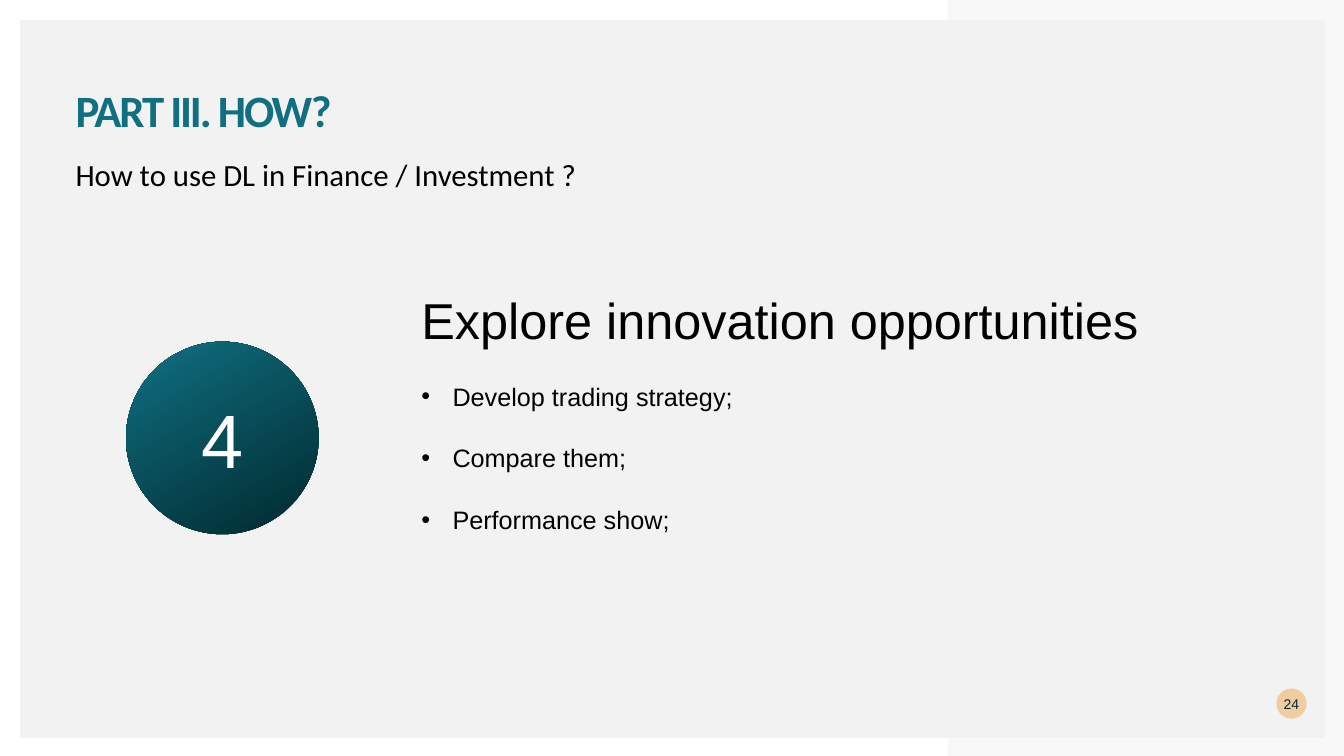
from lxml.etree import SubElement
from pptx import Presentation
from pptx.dml.color import RGBColor
from pptx.enum.shapes import MSO_SHAPE as SHAPE
from pptx.enum.text import MSO_ANCHOR as ANCHOR, PP_ALIGN as ALIGN
from pptx.oxml.ns import qn
from pptx.util import Inches, Pt

COLORS = {"white": "FFFFFF", "black": "000000", "grey": "F2F2F2",
          "sand": "F0CDA1", "teal": "107082", "dark": "00292E"}


def rgb(name):
    return RGBColor.from_string(COLORS[name])


class SlideBuilder:
    def __init__(self, slide, font="Arial"):
        self.slide = slide
        self.font = font

    def add_text(self, p, text, size, color="black", font=None, bold=False):
        r = p.add_run()
        r.text = text
        style = {"size": Pt(size), "name": font or self.font, "bold": bold}
        for key, value in style.items():
            setattr(r.font, key, value)
        r.font.color.rgb = rgb(color)
        return r

    def frame(self, sp, anchor=ANCHOR.TOP, inset=(0, 0, 0, 0)):
        tf = sp.text_frame
        sides = ("left", "top", "right", "bottom")
        style = {f"margin_{side}": Inches(v) for side, v in zip(sides, inset)}
        style.update(word_wrap=True, vertical_anchor=anchor)
        for key, value in style.items():
            setattr(tf, key, value)
        return tf

    def textbox(self, x, y, w, h, **kw):
        sp = self.slide.shapes.add_textbox(*map(Inches, (x, y, w, h)))
        return self.frame(sp, **kw)

    def shape(self, kind, x, y, w, h, fill=None):
        sp = self.slide.shapes.add_shape(kind, *map(Inches, (x, y, w, h)))
        return self.finish(sp, fill)

    def finish(self, sp, fill=None):
        sp.shadow.inherit = False
        sp.line.fill.background()
        if fill:
            sp.fill.solid()
            sp.fill.fore_color.rgb = rgb(fill)
        return sp

    def outline(self, points, fill, alpha):
        pts = [(Inches(x), Inches(y)) for x, y in points]
        builder = self.slide.shapes.build_freeform(*pts[0])
        builder.add_line_segments(pts[1:], close=True)
        sp = self.finish(builder.convert_to_shape(), fill)
        color = next(sp._element.spPr.iter(qn("a:srgbClr")))
        SubElement(color, qn("a:alpha"), val=str(alpha * 1000))

    def badge(self, x, y, d, text, size, color, fill=None):
        sp = self.shape(SHAPE.OVAL, x, y, d, d, fill)
        p = self.frame(sp, ANCHOR.MIDDLE).paragraphs[0]
        p.alignment = ALIGN.CENTER
        self.add_text(p, text, size, color)
        return sp

    def bullet(self, tf, text, size, before, indent):
        p = tf.add_paragraph()
        p.space_before = Pt(before)
        pPr = p._p.get_or_add_pPr()
        pPr.set("marL", str(Inches(indent)))
        pPr.set("indent", str(-Inches(indent)))
        SubElement(pPr, qn("a:buFont"), typeface="Arial")
        SubElement(pPr, qn("a:buChar"), char="•")
        self.add_text(p, text, size)


def main():
    prs = Presentation()
    prs.slide_width, prs.slide_height = Inches(13.33), Inches(7.5)
    s = SlideBuilder(prs.slides.add_slide(prs.slide_layouts[6]))

    # Background panel and translucent right frame
    s.shape(SHAPE.RECTANGLE, 0.2, 0.2, 12.94, 7.12, "grey")
    s.outline([(9.4, 0), (13.33, 0), (13.33, 7.5), (9.4, 7.5), (9.4, 7.3),
               (13.14, 7.3), (13.14, 0.2), (9.4, 0.2)], "grey", 50)

    # Title and subtitle
    p = s.textbox(0.75, 0.88, 8.27, 0.4).paragraphs[0]
    p.line_spacing = 0.9
    r = s.add_text(p, "PART III. HOW?", 32, "teal", "Calibri", True)
    r.font._element.set("spc", "-150")
    p = s.textbox(0.75, 1.54, 8.27, 0.39).paragraphs[0]
    s.add_text(p, "How to use DL in Finance / Investment ?", 22,
               font="Calibri")

    # Heading with bullets
    tf = s.textbox(4.08, 2.77, 7.48, 2.52, inset=(0.1, 0.1, 0.1, 0.05))
    s.add_text(tf.paragraphs[0], "Explore innovation opportunities", 36)
    for text in ("Develop trading strategy;", "Compare them;",
                 "Performance show;"):
        s.bullet(tf, text, 18, 22.4, 0.31)

    # Step number
    sp = s.badge(1.25, 3.39, 1.91, "4", 54, "white")
    sp.fill.gradient()
    sp.fill.gradient_angle = 120
    for stop, (position, color) in zip(sp.fill.gradient_stops,
                                       ((0, "dark"), (1, "teal"))):
        stop.position = position
        stop.color.rgb = rgb(color)

    # Page number
    s.badge(12.66, 6.83, 0.3, "24", 10, "dark", "sand")

    prs.save("out.pptx")


if __name__ == "__main__":
    main()
